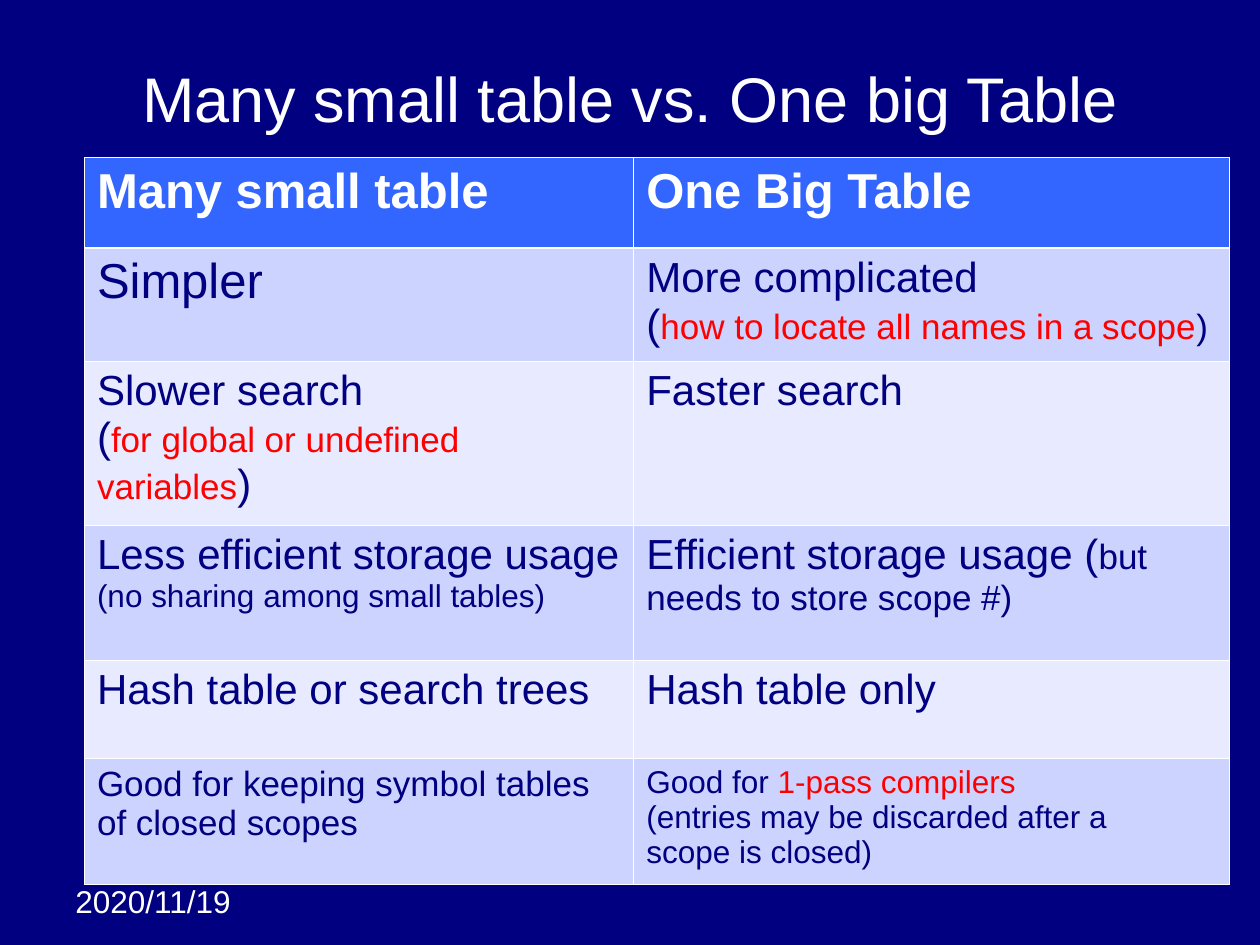
from lxml.etree import SubElement
from pptx import Presentation
from pptx.dml.color import RGBColor
from pptx.enum.text import MSO_ANCHOR, PP_ALIGN
from pptx.oxml.ns import qn
from pptx.util import Inches, Pt

NAVY = RGBColor(0x00, 0x00, 0x80)
WHITE = RGBColor(0xFF, 0xFF, 0xFF)
RED = RGBColor(0xFF, 0x00, 0x00)
BLUE = RGBColor(0x33, 0x66, 0xFF)
DARK = RGBColor(0xCD, 0xD3, 0xFF)
LIGHT = RGBColor(0xE8, 0xEA, 0xFF)

FONT = "Arial"
THIN, THICK = 0.45, 1.47
COLS = [4.36, 4.73]
ROWS = [0.72, 0.9, 1.3, 1.07, 0.78, 1]

# A cell is a list of lines, a line a list of runs: text, size and, if not navy, colour.
HEAD = [
    [[("Many small table", 28, WHITE)]],
    [[("One Big Table", 28, WHITE)]],
]
BODY = [
    [
        [[("Simpler", 28)]],
        [[("More complicated", 24)],
         [("(", 24), ("how to locate all names in a scope", 20, RED), (")", 20)]],
    ],
    [
        [[("Slower search", 24)],
         [("(", 24), ("for global or undefined variables", 20, RED), (")", 24)]],
        [[("Faster search", 24)]],
    ],
    [
        [[("Less efficient storage usage", 24)],
         [("(no sharing among small tables)", 18)]],
        [[("Efficient storage usage (", 24), ("but needs to store scope #)", 20)]],
    ],
    [
        [[("Hash table or search trees", 24)]],
        [[("Hash table only", 24)]],
    ],
    [
        [[("Good for keeping symbol tables of closed scopes", 20)]],
        [[("Good for ", 18), ("1-pass compilers", 18, RED)],
         [("(entries may be discarded after a", 18)],
         [("scope is closed)", 18)]],
    ],
]


def style(run, size, color=NAVY, bold=False):
    font = run.font
    font.name, font.size, font.bold = FONT, Pt(size), bold
    font.color.rgb = color


def place(shape, left, top, width, height):
    shape.left, shape.top = Inches(left), Inches(top)
    shape.width, shape.height = Inches(width), Inches(height)


def add_title(slide, left, top, width, height):
    title = slide.shapes.title
    place(title, left, top, width, height)
    frame = title.text_frame
    frame.text = "Many small table vs. One big Table"
    frame.vertical_anchor = MSO_ANCHOR.MIDDLE
    line = frame.paragraphs[0]
    line.alignment = PP_ALIGN.CENTER
    style(line.runs[0], 36, WHITE)


def add_date(slide, left, top, width, height):
    box = slide.shapes.add_textbox(
        Inches(left), Inches(top), Inches(width), Inches(height))
    frame = box.text_frame
    frame.word_wrap = True
    frame.text = "2020/11/19"
    style(frame.paragraphs[0].runs[0], 18, WHITE)


def set_edges(cell, top, bottom):
    """Draw white cell borders; top and bottom are widths in points."""
    props = cell._tc.get_or_add_tcPr()
    edges = [("a:lnL", THIN), ("a:lnR", THIN), ("a:lnT", top), ("a:lnB", bottom)]
    for spot, (tag, width) in enumerate(edges):
        edge = SubElement(props, qn(tag), w=str(Pt(width)))
        fill = SubElement(edge, qn("a:solidFill"))
        SubElement(fill, qn("a:srgbClr"), val=str(WHITE))
        props.insert(spot, edge)


def fill_cell(cell, lines, color, bold):
    cell.fill.solid()
    cell.fill.fore_color.rgb = color
    frame = cell.text_frame
    for i, parts in enumerate(lines):
        line = frame.add_paragraph() if i else frame.paragraphs[0]
        for text, *look in parts:
            run = line.add_run()
            run.text = text
            style(run, *look, bold=bold)


def add_grid(slide, left, top):
    rows = [HEAD] + BODY
    table = slide.shapes.add_table(
        len(ROWS), len(COLS), Inches(left), Inches(top),
        Inches(sum(COLS)), Inches(sum(ROWS))).table
    for col, width in zip(table.columns, COLS):
        col.width = Inches(width)
    for r, (row, height) in enumerate(zip(rows, ROWS)):
        table.rows[r].height = Inches(height)
        color = BLUE if r == 0 else DARK if r % 2 else LIGHT
        for c, lines in enumerate(row):
            cell = table.cell(r, c)
            fill_cell(cell, lines, color, bold=r == 0)
            set_edges(cell, THICK if r == 1 else THIN, THICK if r == 0 else THIN)


def main():
    deck = Presentation()
    deck.slide_width, deck.slide_height = Inches(10), Inches(7.5)
    slide = deck.slides.add_slide(deck.slide_layouts[5])
    back = slide.background.fill
    back.solid()
    back.fore_color.rgb = NAVY
    add_date(slide, 0.5, 6.95, 1.58, 0.4)
    add_title(slide, 0.5, 0.3, 9, 0.95)
    add_grid(slide, 0.67, 1.25)
    deck.save("out.pptx")


if __name__ == "__main__":
    main()
